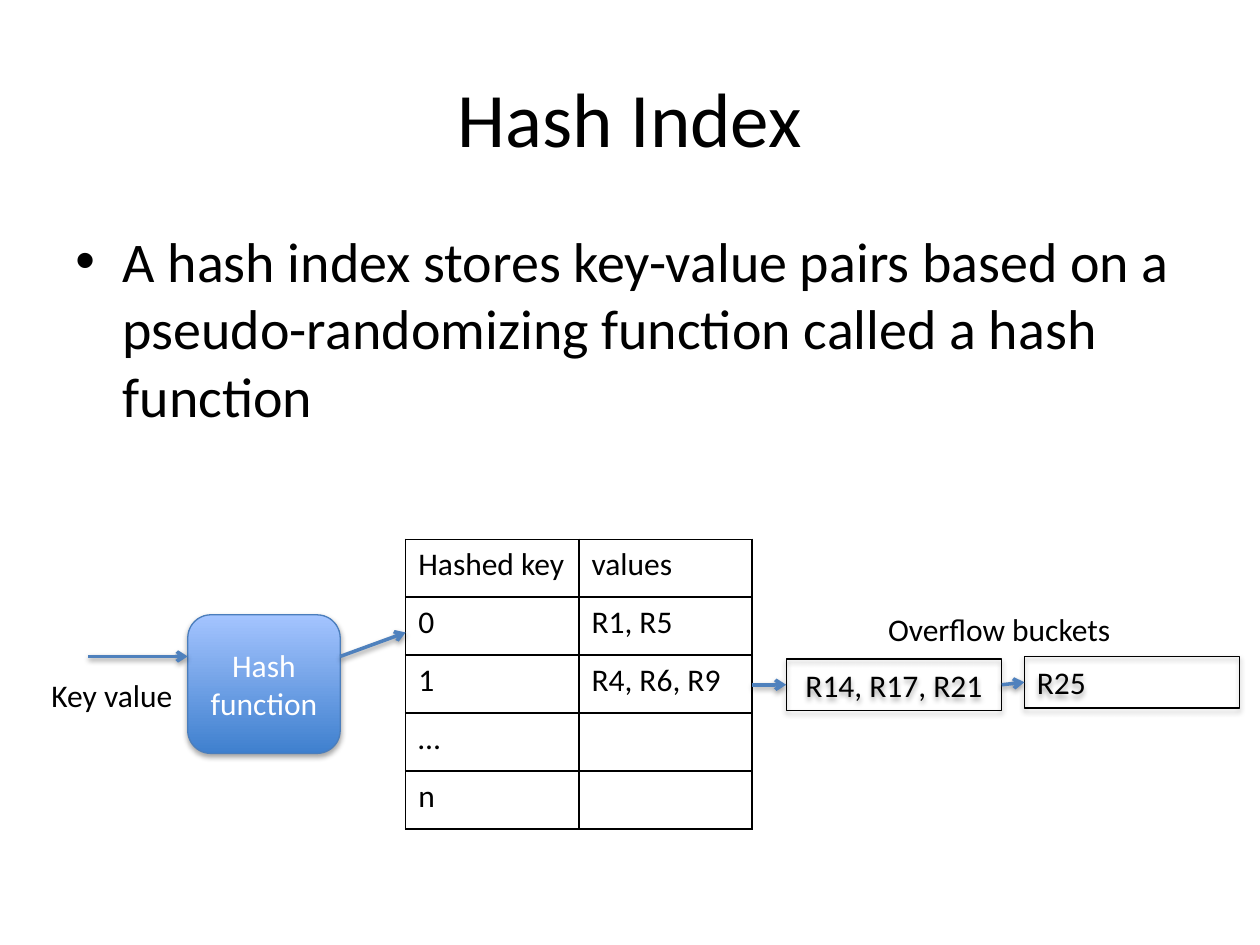
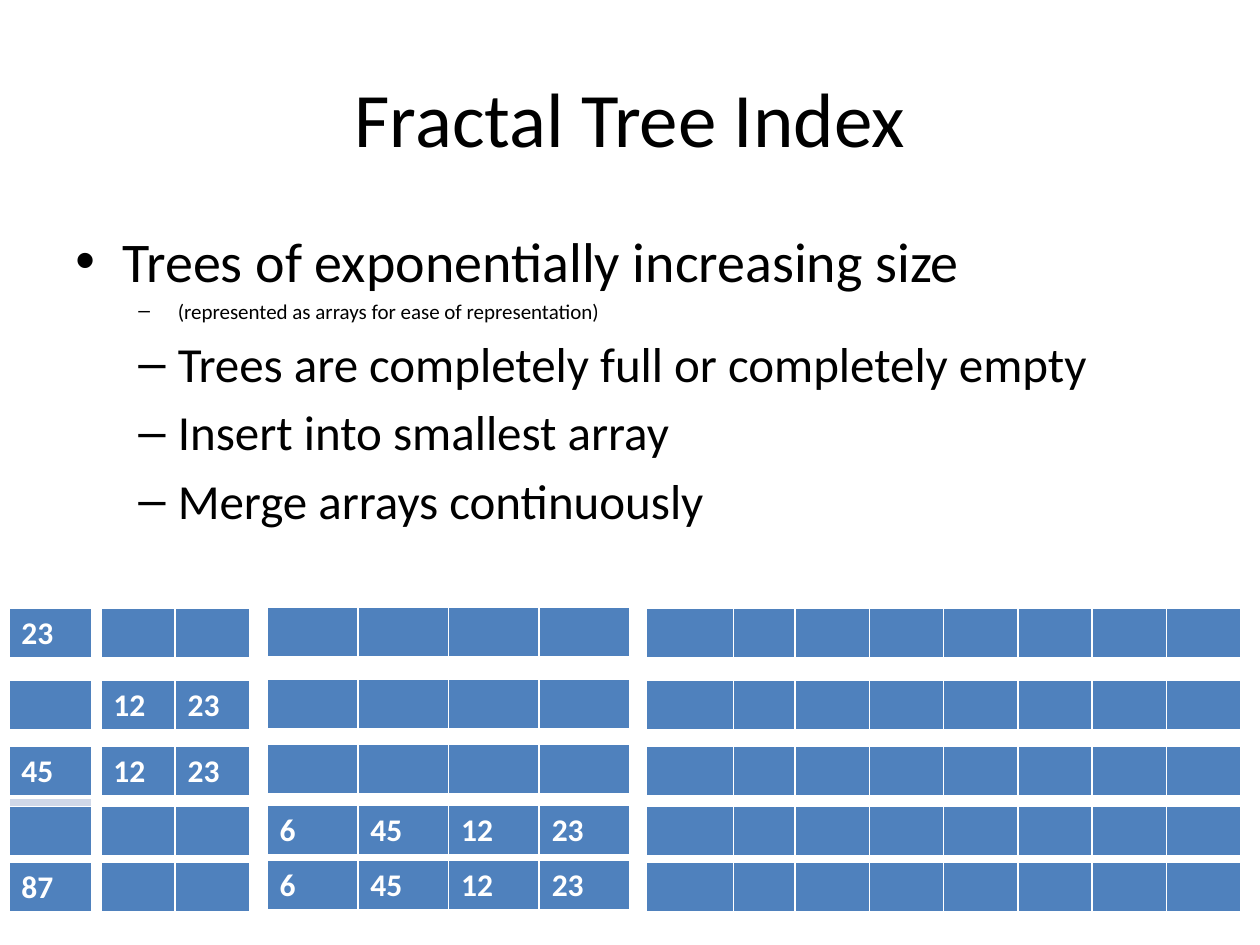
from lxml.etree import SubElement
from pptx import Presentation
from pptx.dml.color import RGBColor
from pptx.enum.shapes import MSO_CONNECTOR as Connector, MSO_SHAPE as Preset
from pptx.enum.text import MSO_ANCHOR as Anchor, MSO_AUTO_SIZE as AutoSize, PP_ALIGN as Align
from pptx.oxml.ns import qn
from pptx.util import Inches, Pt

FONT = "Calibri"
BLACK, WHITE, BLUE, PALE = "000000", "FFFFFF", "4F81BD", "D0D8E8"
HASH_DARK, HASH_LIGHT, HASH_EDGE = "3F80CE", "A4C4FF", "4B7EBC"
COLUMNS, ROWS = 100, 75
BULLETS = [("•", 3.75, 3.75), ("–", 8.13, 3.13)]
GRID_BORDERS = dict.fromkeys("LRTB", 1)
ARRAY_BORDERS = {**GRID_BORDERS, "B": 3}
ARRAYS = [
    (0.7, 0, [6.6]),
    (8, 0, [5.9] * 2),
    (21.2, -0.1, [7.2] * 4),
    (51.3, 0, [6.9, 4.9] + [5.9] * 6),
]
ARRAY_HEIGHT = 4.05
MERGED = ["6", "45", "12", "23"]
INSERT_STEPS = [
    (48.3, {0: ["23"]}),
    (54, {1: ["12", "23"]}),
    (59.2, {0: ["45"], 1: ["12", "23"]}),
    (64, {2: MERGED}),
    (68.4, {0: ["87"], 2: MERGED}),
]


def color(value):
    return RGBColor.from_string(value)


def across(columns):
    return round(Inches(10) * columns / COLUMNS)


def down(rows):
    return round(Inches(7.5) * rows / ROWS)


def box(left, top, width, height):
    return across(left), down(top), across(width), down(height)


def write(paragraph, text, size=18, ink=BLACK, bold=False, align=Align.LEFT, level=None):
    paragraph.alignment = align
    run = paragraph.add_run()
    run.text = text
    run.font.name, run.font.size, run.font.bold = FONT, Pt(size), bold
    run.font.color.rgb = color(ink)
    if level is not None:
        mark, margin, hanging = BULLETS[level]
        paragraph.level = level
        paragraph.space_before = Pt(size * 0.2)
        properties = paragraph._p.get_or_add_pPr()
        properties.set("marL", str(across(margin)))
        properties.set("indent", str(-across(hanging)))
        SubElement(properties, qn("a:buFont"), typeface="Arial")
        SubElement(properties, qn("a:buChar"), char=mark)


def write_lines(frame, lines, **style):
    for number, line in enumerate(lines):
        paragraph = frame.add_paragraph() if number else frame.paragraphs[0]
        write(paragraph, line, **style)


def add_title(slide, text):
    frame = slide.shapes.add_textbox(*box(5, 3, 90, 12.5)).text_frame
    frame.word_wrap, frame.vertical_anchor = True, Anchor.MIDDLE
    write(frame.paragraphs[0], text, size=44, align=Align.CENTER)


def add_body(slide, points):
    frame = slide.shapes.add_textbox(*box(5, 17.5, 90, 49.5)).text_frame
    frame.word_wrap = True
    for number, (text, size, level) in enumerate(points):
        paragraph = frame.add_paragraph() if number else frame.paragraphs[0]
        write(paragraph, text, size=size, level=level)


def add_label(slide, text, left, top, width):
    frame = slide.shapes.add_textbox(*box(left, top, width, 4)).text_frame
    frame.word_wrap, frame.auto_size = False, AutoSize.SHAPE_TO_FIT_TEXT
    write(frame.paragraphs[0], text)


def add_shadow(shape, distance, opacity):
    effects = SubElement(shape._element.spPr, qn("a:effectLst"))
    shadow = SubElement(effects, qn("a:outerShdw"), blurRad=str(Pt(3.1)),
                        dist=str(Pt(distance)), dir="5400000", rotWithShape="0")
    shade = SubElement(shadow, qn("a:srgbClr"), val=BLACK)
    SubElement(shade, qn("a:alpha"), val=str(opacity * 1000))


def add_box(slide, preset, place, lines, edge=BLACK, gradient=None, **style):
    shape = slide.shapes.add_shape(preset, *box(*place))
    if gradient:
        shape.fill.gradient()
        shape.fill.gradient_angle = 90
        for stop, shade in zip(shape.fill.gradient_stops, gradient):
            stop.color.rgb = color(shade)
    else:
        shape.fill.background()
    shape.line.color.rgb, shape.line.width = color(edge), Pt(0.75)
    add_shadow(shape, 1.8, 35)
    shape.text_frame.word_wrap = True
    shape.text_frame.vertical_anchor = Anchor.MIDDLE
    write_lines(shape.text_frame, lines, **style)
    return shape


def add_arrow(slide, start, end, source=None, target=None):
    arrow = slide.shapes.add_connector(
        Connector.STRAIGHT, across(start[0]), down(start[1]), across(end[0]), down(end[1]))
    if source:
        arrow.begin_connect(source, 3)
    if target:
        arrow.end_connect(target, 1)
    arrow.line.color.rgb, arrow.line.width = color(BLUE), Pt(2)
    SubElement(arrow.line._get_or_add_ln(), qn("a:tailEnd"), type="arrow")
    add_shadow(arrow, 1.6, 38)


def set_borders(cell, borders, ink):
    properties = cell._tc.get_or_add_tcPr()
    for side, width in borders.items():
        line = SubElement(properties, qn(f"a:ln{side}"), w=str(Pt(width)))
        SubElement(SubElement(line, qn("a:solidFill")), qn("a:srgbClr"), val=ink)


def add_grid(slide, left, top, widths, row_height, rows, fills, borders, edge, **style):
    place = box(left, top, sum(widths), row_height * len(rows))
    table = slide.shapes.add_table(len(rows), len(widths), *place).table
    table.first_row = table.horz_banding = False
    for column, width in zip(table.columns, widths):
        column.width = across(width)
    for row, texts, fill in zip(table.rows, rows, fills):
        row.height = down(row_height)
        for cell, text in zip(row.cells, texts):
            set_borders(cell, borders, edge)
            if fill:
                cell.fill.solid()
                cell.fill.fore_color.rgb = color(fill)
            else:
                cell.fill.background()
            if text:
                write(cell.text_frame.paragraphs[0], text, **style)


def build_hash_index(slide):
    add_title(slide, "Hash Index")
    add_body(slide, [("A hash index stores key-value pairs based on a "
                      "pseudo-randomizing function called a hash function", 32, 0)])
    add_label(slide, "Key value", 3.1, 53.2, 11.8)
    buckets = [("Hashed key", "values"), ("0", "R1, R5"), ("1", "R4, R6, R9"),
               ("…", ""), ("n", "")]
    add_grid(slide, 32.2, 42.8, [13.75] * 2, 4.6, buckets, [None] * len(buckets),
             GRID_BORDERS, BLACK)
    first_overflow = add_box(slide, Preset.RECTANGLE, (62.4, 52.3, 17.1, 4.1),
                             ["R14, R17, R21"], align=Align.CENTER)
    second_overflow = add_box(slide, Preset.RECTANGLE, (81.3, 52.1, 17.1, 4.1), ["R25"])
    add_arrow(slide, (59.7, 54.35), (62.4, 54.35), target=first_overflow)
    add_arrow(slide, (79.5, 54.35), (81.3, 54.15), first_overflow, second_overflow)
    add_label(slide, "Overflow buckets", 69.5, 47.9, 20)
    add_box(slide, Preset.ROUNDED_RECTANGLE, (14.9, 48.8, 12.1, 11), ["Hash", "function"],
            edge=HASH_EDGE, gradient=(HASH_DARK, HASH_LIGHT), ink=WHITE, align=Align.CENTER)
    add_arrow(slide, (7, 52.1), (14.9, 52.1))
    add_arrow(slide, (27, 52.1), (32.2, 50.2))


def build_fractal_tree_index(slide):
    add_title(slide, "Fractal Tree Index")
    add_body(slide, [
        ("Trees of exponentially increasing size", 32, 0),
        ("(represented as arrays for ease of representation)", 12, 1),
        ("Trees are completely full or completely empty", 28, 1),
        ("Insert into smallest array", 28, 1),
        ("Merge arrays continuously", 28, 1),
    ])
    for step, (top, contents) in enumerate(INSERT_STEPS):
        for number, (left, offset, widths) in enumerate(ARRAYS):
            rows = [contents.get(number, [""] * len(widths))]
            if step == 2 and number == 0:
                rows.append([""])
            add_grid(slide, left, top + offset, widths, ARRAY_HEIGHT, rows, [BLUE, PALE],
                     ARRAY_BORDERS, WHITE, ink=WHITE, bold=True)


def main():
    presentation = Presentation()
    presentation.slide_width, presentation.slide_height = across(COLUMNS), down(ROWS)
    for build in (build_hash_index, build_fractal_tree_index):
        build(presentation.slides.add_slide(presentation.slide_layouts[6]))
    presentation.save("out.pptx")


if __name__ == "__main__":
    main()
